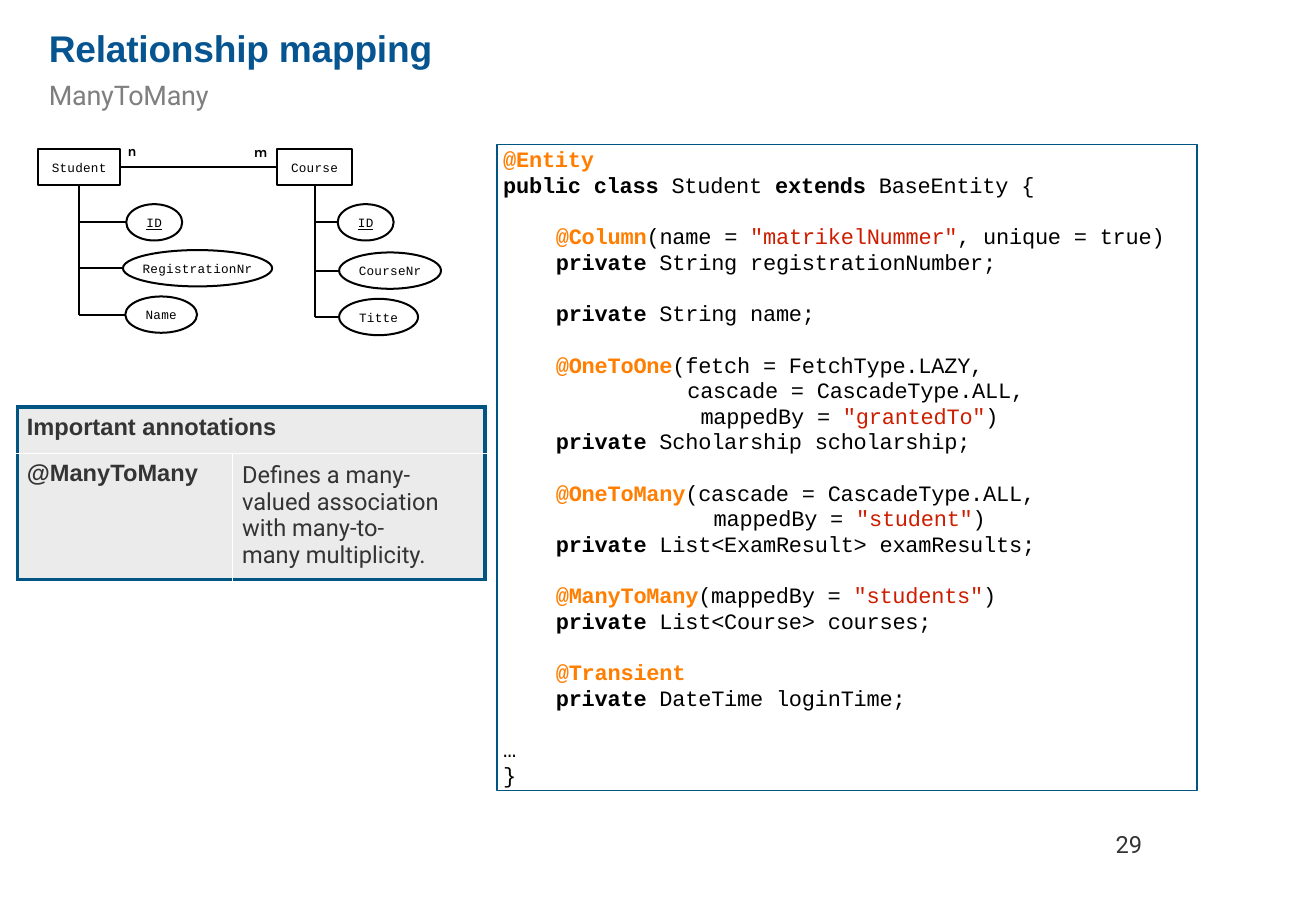
"""Build the slide on many-to-many relationship mapping."""
import pptx
import pptx.util
import pptx.dml.color
import pptx.enum.shapes
import pptx.enum.text
import pptx.oxml.ns
from lxml import etree

Cm, Pt = pptx.util.Cm, pptx.util.Pt
RGB = pptx.dml.color.RGBColor.from_string
MSO = pptx.enum.shapes.MSO_SHAPE
ALIGN, ANCHOR = pptx.enum.text.PP_ALIGN, pptx.enum.text.MSO_ANCHOR
qn = pptx.oxml.ns.qn

THEME = {
    "title": {"name": "Arial", "size": 22, "color": "075590", "bold": True},
    "subtitle": {"name": "Roboto", "size": 16, "color": "7F7F7F", "bold": False},
    "diagram": {"name": "Courier New", "size": 7.5, "color": "000000"},
    "key": {"name": "Courier New", "size": 7.5, "color": "000000", "underline": True},
    "cardinality": {"name": "Karla", "size": 8.5, "color": "000000", "bold": True},
    "term": {"name": "Arial", "size": 14, "color": "343434", "bold": True},
    "body": {"name": "Roboto", "size": 14, "color": "343434", "bold": False},
    "plain": {"name": "Courier New", "size": 13, "color": "000000"},
    "keyword": {"name": "Courier New", "size": 13, "color": "000000", "bold": True},
    "annotation": {"name": "Courier New", "size": 13, "color": "FF7E00", "bold": True},
    "string": {"name": "Courier New", "size": 13, "color": "CD1D00"},
    "ink": "000000", "frame": "005583", "cell": "EBEBEB", "rule": "FFFFFF",
}

HEADING = [("title", "Relationship mapping"), ("subtitle", "ManyToMany")]
ENTITIES = [
    ("Student", 0.79, 1.73, [("ID", 2.64, 4.65, 1.17), ("RegistrationNr", 2.57, 5.61, 3.12),
                             ("Name", 2.62, 6.58, 1.5)]),
    ("Course", 5.79, 1.57, [("ID", 7.06, 4.65, 1.17), ("CourseNr", 7.09, 5.66, 2.13),
                            ("Titte", 7.09, 6.63, 1.65)]),
]
CARDINALITIES = [("n", 2.67, 2.97), ("m", 5.31, 3)]
ANNOTATIONS = [["Important annotations", ""],
               ["@ManyToMany",
                "Defines a many-\vvalued association\vwith many-to-\vmany multiplicity."]]
A, K, S, N = "annotation", "keyword", "string", "plain"
CODE = [
    [(0, [(A, "@Entity")]),
     (0, [(K, "public class "), (N, "Student "), (K, "extends "), (N, "BaseEntity {")])],
    [(4, [(A, "@Column"), (N, "(name = "), (S, '"matrikelNummer"'), (N, ", unique = true)")]),
     (4, [(K, "private "), (N, "String registrationNumber;")])],
    [(4, [(K, "private "), (N, "String name;")])],
    [(4, [(A, "@OneToOne"), (N, "(fetch = FetchType.LAZY,")]),
     (14, [(N, "cascade = CascadeType.ALL,")]),
     (15, [(N, "mappedBy = "), (S, '"grantedTo"'), (N, ")")]),
     (4, [(K, "private "), (N, "Scholarship scholarship;")])],
    [(4, [(A, "@OneToMany"), (N, "(cascade = CascadeType.ALL,")]),
     (16, [(N, "mappedBy = "), (S, '"student"'), (N, ")")]),
     (4, [(K, "private "), (N, "List<ExamResult> examResults;")])],
    [(4, [(A, "@ManyToMany"), (N, "(mappedBy = "), (S, '"students"'), (N, ")")]),
     (4, [(K, "private "), (N, "List<Course> courses;")])],
    [(4, [(A, "@Transient")]),
     (4, [(K, "private "), (N, "DateTime loginTime;")])],
    [(0, [(N, "…")]), (0, [(N, "}")])],
]
BOX_TOP, BOX_H = 3.12, 0.76
COLS, ROWS = [4.5, 5.28], [0.97, 2.64]
CHAR, LINE = 1.1 / 4, 15.2


def put(obj, values):
    for name, value in values.items():
        setattr(obj, name, value)


def style(font, key):
    values = dict(THEME[key])
    font.color.rgb = RGB(values.pop("color"))
    values["size"] = Pt(values["size"])
    put(font, values)


def add_run(p, key, text, spc=-10):
    r = p.add_run()
    r.text = text
    style(r.font, key)
    r._r.get_or_add_rPr().set("spc", str(spc))


def frame(tf, left=0, top=0, wrap=True, anchor=ANCHOR.TOP):
    put(tf, {"margin_left": Cm(left), "margin_top": Cm(top), "margin_right": 0,
             "margin_bottom": 0, "word_wrap": wrap, "vertical_anchor": anchor,
             "auto_size": pptx.enum.text.MSO_AUTO_SIZE.NONE})
    return tf


def add_box(kind, x, y, w, h, color=THEME["ink"], width=1.2):
    sp = s.shapes.add_shape(kind, Cm(x), Cm(y), Cm(w), Cm(h))
    sp.shadow.inherit = False
    sp.fill.background()
    sp.line.color.rgb = RGB(color)
    sp.line.width = Pt(width)
    return sp


def add_node(kind, key, text, x, y, w):
    tf = frame(add_box(kind, x, y, w, BOX_H).text_frame, wrap=False, anchor=ANCHOR.MIDDLE)
    tf.paragraphs[0].alignment = ALIGN.CENTER
    add_run(tf.paragraphs[0], key, text, 10)


def add_line(x1, y1, x2, y2):
    c = s.shapes.add_connector(pptx.enum.shapes.MSO_CONNECTOR.STRAIGHT,
                               Cm(x1), Cm(y1), Cm(x2), Cm(y2))
    c.line.color.rgb = RGB(THEME["ink"])
    c.line.width = Pt(1.2)
    etree.SubElement(c._element.spPr, qn("a:effectLst"))


def add_label(key, text, x, y, w, h, spc=0):
    tf = frame(s.shapes.add_textbox(Cm(x), Cm(y), Cm(w), Cm(h)).text_frame, wrap=False)
    add_run(tf.paragraphs[0], key, text, spc)


def add_border(cell, side, color, width):
    ln = etree.SubElement(cell._tc.get_or_add_tcPr(), qn("a:ln" + side), w=str(Pt(width)))
    fill = etree.SubElement(ln, qn("a:solidFill"))
    etree.SubElement(fill, qn("a:srgbClr"), val=color)


prs = pptx.Presentation()
put(prs, {"slide_width": Cm(27.51), "slide_height": Cm(19.05)})
s = prs.slides.add_slide(prs.slide_layouts[5])

title = s.shapes.title
put(title, {"left": Cm(1.02), "top": Cm(0.25), "width": Cm(8.5), "height": Cm(2.11)})
tf = frame(title.text_frame, top=0.28)
for i, (key, text) in enumerate(HEADING):
    p = tf.add_paragraph() if i else tf.paragraphs[0]
    put(p, {"alignment": ALIGN.LEFT, "space_before": Pt(5 * i)})
    add_run(p, key, text)

(_, x1, w1, _), (_, x2, _, _) = ENTITIES
add_line(x1 + w1, BOX_TOP + BOX_H / 2, x2, BOX_TOP + BOX_H / 2)
for name, x, w, attributes in ENTITIES:
    trunk = x + w / 2
    add_line(trunk, BOX_TOP + BOX_H, trunk, attributes[-1][2])
    add_node(MSO.RECTANGLE, "diagram", name, x, BOX_TOP, w)
    for text, left, mid, width in attributes:
        add_line(trunk, mid, left, mid)
        add_node(MSO.OVAL, "key" if text == "ID" else "diagram", text,
                 left, mid - BOX_H / 2, width)
for text, x, y in CARDINALITIES:
    add_label("cardinality", text, x, y, 0.4, 0.43)

tf = frame(add_box(MSO.RECTANGLE, 10.39, 3.02, 14.63, 13.51, THEME["frame"], 1).text_frame,
           left=0.13, top=0.05)
first = True
for block in CODE:
    for i, (indent, runs) in enumerate(block):
        p = tf.paragraphs[0] if first else tf.add_paragraph()
        put(p, {"alignment": ALIGN.LEFT, "line_spacing": Pt(LINE),
                "space_before": Pt(0 if first or i else LINE)})
        p._p.get_or_add_pPr().set("marL", str(Cm(indent * CHAR)))
        for key, text in runs:
            add_run(p, key, text)
        first = False

table = s.shapes.add_table(2, 2, Cm(0.36), Cm(8.51), Cm(sum(COLS)), Cm(sum(ROWS))).table
for col, w in zip(table.columns, COLS):
    col.width = Cm(w)
for row, h in zip(table.rows, ROWS):
    row.height = Cm(h)
table.cell(0, 0).merge(table.cell(0, 1))
for i, texts in enumerate(ANNOTATIONS):
    for j, text in enumerate(texts):
        cell = table.cell(i, j)
        outer = {"L": j == 0, "R": j == 1 or i == 0, "T": i == 0, "B": i == 1}
        for side, edge in outer.items():
            add_border(cell, side, *((THEME["frame"], 2.25) if edge else (THEME["rule"], 1)))
        cell.fill.solid()
        cell.fill.fore_color.rgb = RGB(THEME["cell"])
        put(cell, {"margin_left": Cm(0.2), "margin_top": Cm(0.18 if j else 0.15),
                   "margin_right": 0, "margin_bottom": 0})
        p = cell.text_frame.paragraphs[0]
        p.text = text
        if j:
            p.line_spacing = Pt(16)
        for r in p.runs:
            style(r.font, "body" if j else "term")

add_label("body", "29", 23.32, 17.35, 0.76, 0.76)
prs.save("out.pptx")
